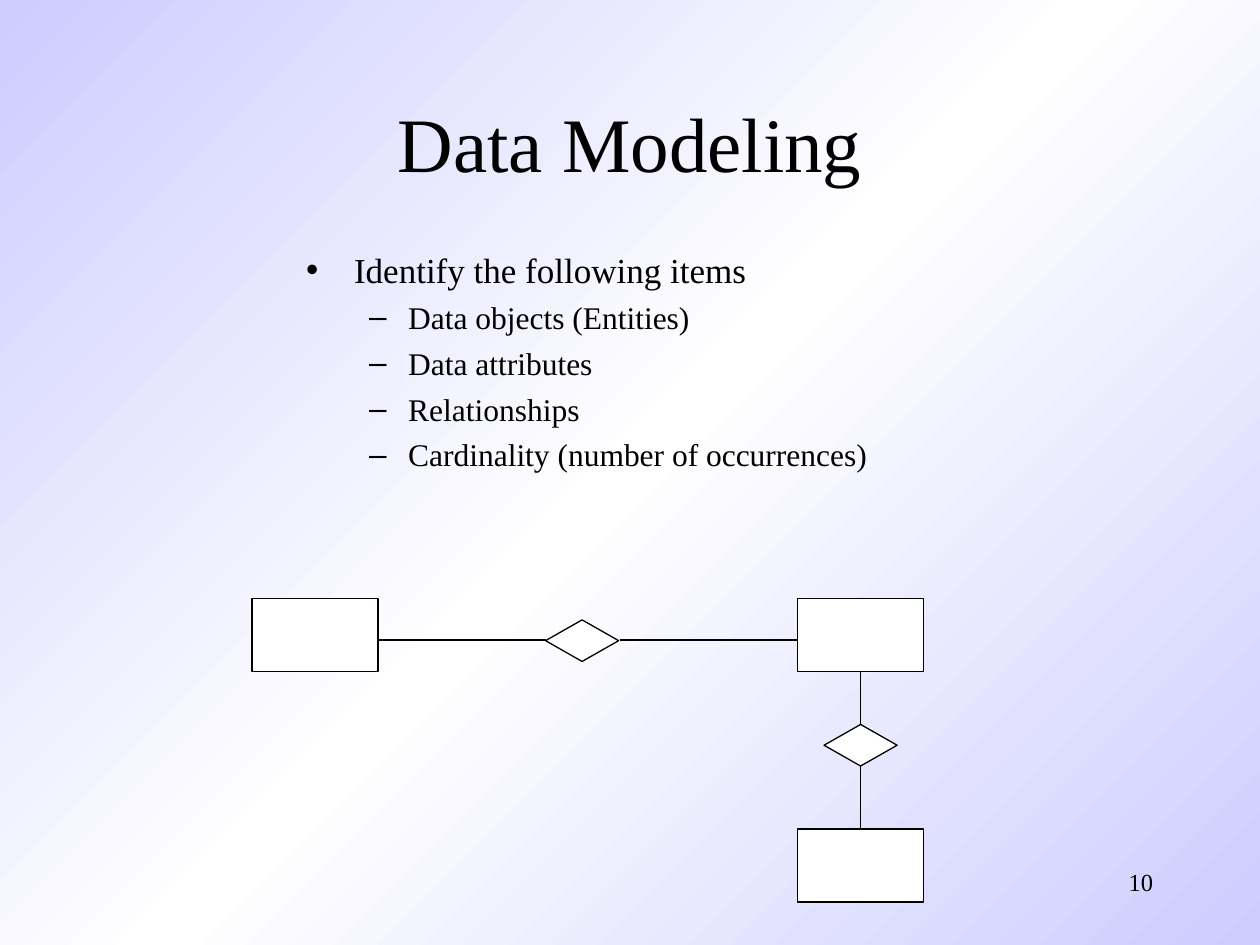
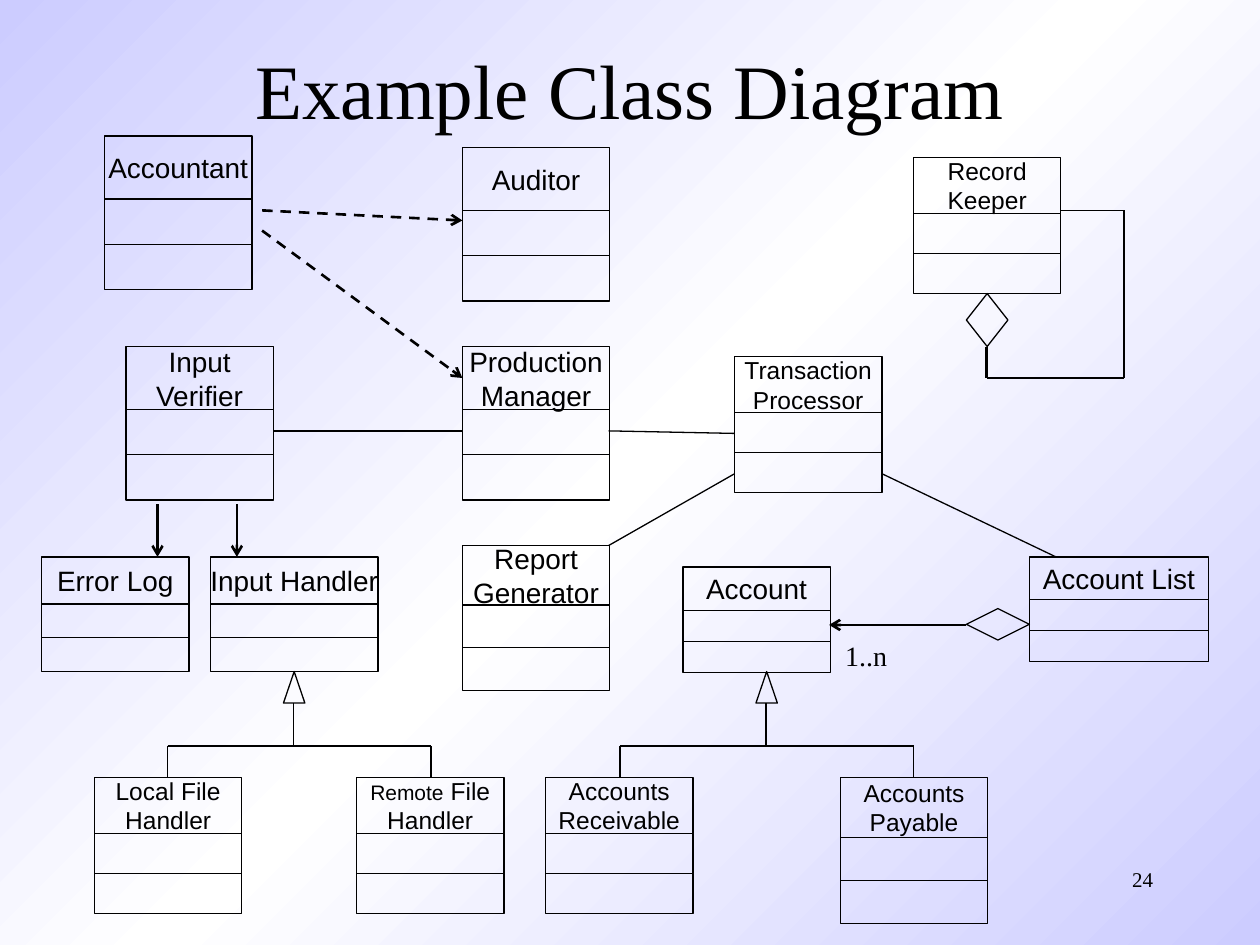
from copy import deepcopy
from lxml.etree import SubElement
from pptx import Presentation
from pptx.dml.color import RGBColor
from pptx.enum.dml import MSO_LINE
from pptx.enum.shapes import MSO_CONNECTOR, MSO_SHAPE
from pptx.enum.text import MSO_ANCHOR, PP_ALIGN
from pptx.oxml.ns import qn
from pptx.util import Inches, Pt

BLACK = RGBColor(0x00, 0x00, 0x00)
WHITE = RGBColor(0xFF, 0xFF, 0xFF)
LAVENDER = RGBColor(0xCC, 0xCC, 0xFF)
SERIF, SANS = "Times New Roman", "Arial"
THIN, THICK = 0.74, 1.5

ITEMS = [
    (0, "Identify the following items"),
    (1, "Data objects (Entities)"),
    (1, "Data attributes"),
    (1, "Relationships"),
    (1, "Cardinality (number of occurrences)"),
]
LEVELS = [
    {"size": 20, "before": 5, "margin": 0.38, "hang": 0.38},
    {"size": 18, "before": 4.5, "margin": 0.81, "hang": 0.31},
]

ENTITY_SIZE = (1, 0.58)
RELATION_SIZE = (0.58, 0.33)
ENTITIES = [(2, 4.75), (6.33, 4.75), (6.33, 6.58)]
RELATIONS = [(4.33, 4.92), (6.54, 5.75)]
ENTITY_LINKS = [
    (3, 5.08, 4.33, 5.08),
    (4.92, 5.08, 6.33, 5.08),
    (6.83, 5.33, 6.83, 5.75),
    (6.83, 6.08, 6.83, 6.58),
]

HEADER_SHARE = 0.41
CLASSES = [
    (["Accountant"], 0.83, 1.08, 1.17, 1.22, 16),
    (["Auditor"], 3.67, 1.17, 1.17, 1.22, 16),
    (["Record", "Keeper"], 7.25, 1.25, 1.17, 1.08, 14),
    (["Input", "Verifier"], 1, 2.75, 1.17, 1.22, 16),
    (["Production", "Manager"], 3.67, 2.75, 1.17, 1.22, 16),
    (["Transaction", "Processor"], 5.83, 2.83, 1.17, 1.08, 14),
    (["Error Log"], 0.33, 4.42, 1.17, 0.91, 16),
    (["Input Handler"], 1.67, 4.42, 1.33, 0.91, 16),
    (["Report", "Generator"], 3.67, 4.33, 1.17, 1.15, 16),
    (["Account"], 5.42, 4.5, 1.17, 0.84, 16),
    (["Account List"], 8.17, 4.42, 1.42, 0.83, 16),
    (["Local File", "Handler"], 0.75, 6.17, 1.17, 1.08, 14),
    ([[("Remote", 12), (" File", 14)], "Handler"], 2.83, 6.17, 1.17, 1.08, 14),
    (["Accounts", "Receivable"], 4.33, 6.17, 1.17, 1.08, 14),
    (["Accounts", "Payable"], 6.67, 6.17, 1.17, 1.16, 14),
]
ASSOCIATIONS = [
    (2.17, 3.42, 3.67, 3.42),
    (4.83, 3.42, 5.83, 3.44),
    (5.83, 3.76, 4.83, 4.33),
    (7, 3.76, 8.38, 4.42),
    (8.92, 1.67, 8.42, 1.67),
]
DEPENDENCIES = [(2.08, 1.67, 3.67, 1.75), (2.08, 1.83, 3.67, 3)]
CALLS = [(1.25, 4, 1.25, 4.42), (1.88, 4, 1.88, 4.42), (7.67, 4.96, 6.58, 4.96)]
SELF_LOOP = [(7.83, 2.75), (7.83, 3), (8.92, 3), (8.92, 1.67)]
AGGREGATIONS = [(7.67, 4.83, 0.5, 0.25), (7.67, 2.33, 0.33, 0.42)]
INHERITANCE = [(2.33, (1.33, 3.42)), (6.08, (4.92, 7.25))]
TRIANGLE_TOP, TRIANGLE_BASE, BRANCH, CHILD_TOP = 5.33, 5.58, 5.92, 6.17


def style(paragraph, size, font=SERIF, align=None):
    paragraph.alignment = align
    paragraph.font.name = font
    paragraph.font.size = Pt(size)
    paragraph.font.color.rgb = BLACK


def place(shape, left, top, width, height):
    shape.left, shape.top = Inches(left), Inches(top)
    shape.width, shape.height = Inches(width), Inches(height)


def add_label(page, text, size, area, align, wrap=True):
    box = page.shapes.add_textbox(*map(Inches, area))
    box.text_frame.word_wrap = wrap
    box.text_frame.text = text
    style(box.text_frame.paragraphs[0], size, align=align)


def add_page(layout, title, title_top, number, number_size):
    page = deck.slides.add_slide(deck.slide_layouts[layout])
    place(page.shapes.title, 0.75, title_top, 8.5, 1.25)
    page.shapes.title.text_frame.text = title
    style(page.shapes.title.text_frame.paragraphs[0], 44, align=PP_ALIGN.CENTER)
    add_label(page, number, number_size, (7.17, 6.83, 2.08, 0.5), PP_ALIGN.RIGHT)
    return page


def add_outline(shapes, kind, area, fill=None):
    shape = shapes.add_shape(kind, *map(Inches, area))
    shape.shadow.inherit = False
    if fill is None:
        shape.fill.background()
    else:
        shape.fill.solid()
        shape.fill.fore_color.rgb = fill
    shape.line.color.rgb = BLACK
    shape.line.width = Pt(THIN)
    return shape


def add_line(page, ends, weight=THIN, dash=None, arrow=False):
    line = page.shapes.add_connector(MSO_CONNECTOR.STRAIGHT, *map(Inches, ends))
    line.line.color.rgb = BLACK
    line.line.width = Pt(weight)
    if dash:
        line.line.dash_style = dash
    properties = line.element.spPr
    if arrow:
        SubElement(properties.find(qn("a:ln")), qn("a:tailEnd"), type="arrow")
    SubElement(properties, qn("a:effectLst"))


def add_class(page, name, left, top, width, height, size):
    group = page.shapes.add_group_shape()
    header = height * HEADER_SHARE
    row = (height - header) / 2
    box = add_outline(group.shapes, MSO_SHAPE.RECTANGLE, (left, top, width, header))
    for index in range(2):
        row_top = top + header + index * row
        add_outline(group.shapes, MSO_SHAPE.RECTANGLE, (left, row_top, width, row))
    frame = box.text_frame
    frame.word_wrap = False
    frame.vertical_anchor = MSO_ANCHOR.MIDDLE
    for index, words in enumerate(name):
        para = frame.add_paragraph() if index else frame.paragraphs[0]
        style(para, size, SANS, PP_ALIGN.CENTER)
        if isinstance(words, str):
            para.text = words
            continue
        for text, span_size in words:
            span = para.add_run()
            span.text = text
            span.font.size = Pt(span_size)


def add_inheritance(page, parent, children):
    triangle = (parent - 0.08, TRIANGLE_TOP, 0.17, TRIANGLE_BASE - TRIANGLE_TOP)
    add_outline(page.shapes, MSO_SHAPE.ISOSCELES_TRIANGLE, triangle)
    add_line(page, (parent, TRIANGLE_BASE, parent, BRANCH))
    add_line(page, (children[0], BRANCH, children[-1], BRANCH))
    for child in children:
        add_line(page, (child, BRANCH, child, CHILD_TOP))


deck = Presentation()
deck.slide_width, deck.slide_height = Inches(10), Inches(7.5)

backdrop = deck.slide_master.background.fill
backdrop.gradient()
backdrop.gradient_angle = 315
stop_list = deck.slide_master.element.find(".//" + qn("a:gsLst"))
stop_list.append(deepcopy(stop_list[0]))
for stop, position, color in zip(
    backdrop.gradient_stops, (0, 0.5, 1), (LAVENDER, WHITE, LAVENDER)
):
    stop.position = position
    stop.color.rgb = color

page = add_page(1, "Data Modeling", 0.5, "10", 14)
body = page.placeholders[1]
place(body, 2.33, 1.92, 6.42, 3.17)
for index, (level, text) in enumerate(ITEMS):
    frame = body.text_frame
    para = frame.add_paragraph() if index else frame.paragraphs[0]
    look = LEVELS[level]
    para.text = text
    para.level = level
    para.space_before = Pt(look["before"])
    style(para, look["size"])
    indents = para._p.get_or_add_pPr()
    indents.set("marL", str(Inches(look["margin"])))
    indents.set("indent", str(-Inches(look["hang"])))
for spot in ENTITIES:
    add_outline(page.shapes, MSO_SHAPE.RECTANGLE, spot + ENTITY_SIZE, WHITE)
for spot in RELATIONS:
    add_outline(page.shapes, MSO_SHAPE.DIAMOND, spot + RELATION_SIZE, WHITE)
for ends in ENTITY_LINKS:
    add_line(page, ends)

page = add_page(5, "Example Class Diagram", 0.08, "24", 12)
for entry in CLASSES:
    add_class(page, *entry)
for ends in ASSOCIATIONS:
    add_line(page, ends)
for ends in DEPENDENCIES:
    add_line(page, ends, THICK, MSO_LINE.DASH, arrow=True)
for ends in CALLS:
    add_line(page, ends, THICK, arrow=True)
for start, end in zip(SELF_LOOP, SELF_LOOP[1:]):
    add_line(page, start + end, THICK)
for area in AGGREGATIONS:
    add_outline(page.shapes, MSO_SHAPE.DIAMOND, area)
for parent, children in INHERITANCE:
    add_inheritance(page, parent, children)
add_label(page, "1..n", 16, (6.61, 5.02, 0.53, 0.37), PP_ALIGN.CENTER, wrap=False)

deck.save("out.pptx")
